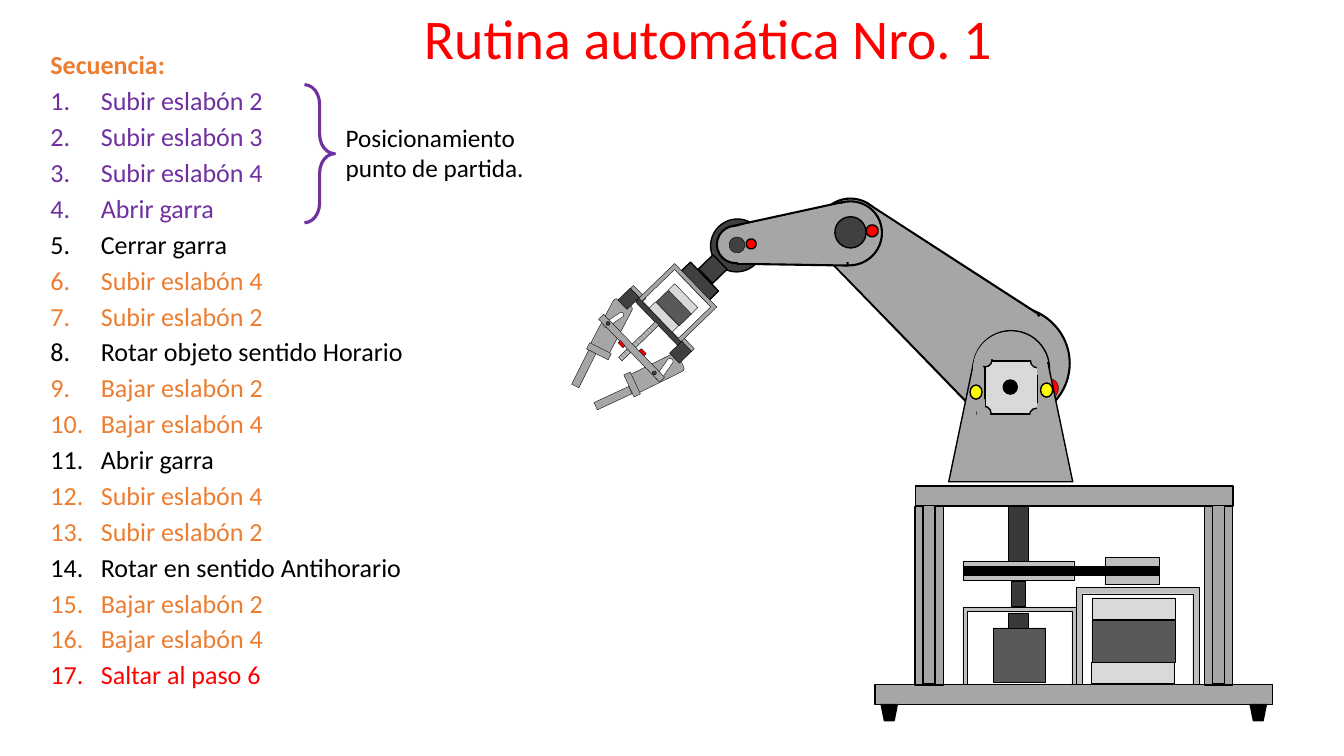
from typing import NamedTuple

from lxml.etree import SubElement
from pptx import Presentation
from pptx.dml.color import RGBColor
from pptx.enum.dml import MSO_PATTERN
from pptx.enum.shapes import MSO_SHAPE
from pptx.enum.text import MSO_ANCHOR, MSO_AUTO_SIZE, PP_ALIGN
from pptx.oxml.ns import qn
from pptx.util import Cm, Pt

FONT = "Calibri"
BLACK, WHITE, RED, YELLOW = "000000", "FFFFFF", "FF0000", "FFFF00"
ORANGE, PURPLE = "ED7D31", "7030A0"
GREY, SILVER, PALE = "A6A6A6", "BFBFBF", "D9D9D9"
DARK, MOTOR, SHAFT = "404040", "595959", "3B3838"

RECT, OVAL, ROUND = MSO_SHAPE.RECTANGLE, MSO_SHAPE.OVAL, MSO_SHAPE.ROUNDED_RECTANGLE
FRAME, TAPER = MSO_SHAPE.FRAME, MSO_SHAPE.FLOWCHART_MANUAL_OPERATION
TILT = 45.9  # angle of the gripper, degrees


class Part(NamedTuple):
    """One piece of the robot; lengths in inches, line weight in points."""
    kind: MSO_SHAPE
    x: float
    y: float
    w: float
    h: float
    fill: str = GREY
    weight: float = 0.25
    rot: float = 0
    adj: float | None = None
    edge: str = BLACK
    flip_v: bool = False
    hatched: bool = False


class Step(NamedTuple):
    text: str
    color: str


def inch(value: float) -> Cm:
    return Cm(value * 2.54)


def rgb(color: str) -> RGBColor:
    return RGBColor.from_string(color)


def place(sp, x: float, y: float, w: float, h: float) -> None:
    sp.left, sp.top, sp.width, sp.height = (inch(v) for v in (x, y, w, h))


def draw(shapes, part: Part) -> None:
    sp = shapes.add_shape(part.kind, *(inch(v) for v in part[1:5]))
    sp.shadow.inherit = False
    sp.rotation = part.rot
    if part.adj is not None:
        sp.adjustments[0] = part.adj
    if part.flip_v:
        sp._element.spPr.xfrm.set("flipV", "1")
    if part.hatched:
        sp.fill.patterned()
        sp.fill.pattern = MSO_PATTERN.WIDE_DOWNWARD_DIAGONAL
        sp.fill.fore_color.rgb = rgb(WHITE)
        sp.fill.back_color.rgb = rgb(part.fill)
    else:
        sp.fill.solid()
        sp.fill.fore_color.rgb = rgb(part.fill)
    if part.weight:
        sp.line.color.rgb = rgb(part.edge)
        sp.line.width = Pt(part.weight)
    else:
        sp.line.fill.background()


def draw_group(s, parts: list[Part]) -> None:
    group = s.shapes.add_group_shape()
    for part in parts:
        draw(group.shapes, part)


def add_run(p, text: str, size: float, color: str, bold: bool = False) -> None:
    r = p.add_run()
    r.text = text
    r.font.name, r.font.size, r.font.bold = FONT, Pt(size), bold
    r.font.color.rgb = rgb(color)


def tilted(x: float, y: float, w: float, h: float, fill: str = GREY,
           weight: float = 0.25, kind: MSO_SHAPE = RECT) -> Part:
    return Part(kind, x, y, w, h, fill, weight, TILT)


def cover(x: float, y: float, w: float, h: float, rot: float = 0) -> Part:
    return Part(RECT, x, y, w, h, GREY, 1, rot, edge=GREY)


def notch(x: float, y: float, rot: float = 0) -> Part:
    return Part(OVAL, x, y, 0.14, 0.14, GREY, 1, rot)


UPPER_ARM = [
    Part(OVAL, 9.45, 3.04, 1.16, 1.13, weight=1.5),
    Part(TAPER, 8.62, 1.94, 1.13, 1.98, weight=1.5, rot=129.4),
    Part(OVAL, 8.1, 1.97, 0.67, 0.67, weight=1.5),
    Part(TAPER, 8.66, 1.95, 1.07, 1.98, weight=1.5, rot=129.4, edge=GREY),
]
CLAWS = [
    Part(ROUND, 6.41, 3.43, 0.2, 0.54, rot=63.8),
    Part(ROUND, 6.56, 3.54, 0.06, 0.25, WHITE, rot=34.9, adj=0.405),
    Part(RECT, 6.15, 3.78, 0.24, 0.07, rot=65.1),
    Part(RECT, 6.04, 3.76, 0.08, 0.38, rot=65.1),
    Part(ROUND, 5.96, 2.97, 0.21, 0.54, rot=27.9),
    Part(ROUND, 6.06, 3.06, 0.05, 0.23, WHITE, rot=56.2, adj=0.405),
    Part(RECT, 5.82, 3.45, 0.24, 0.07, rot=26.6),
    Part(RECT, 5.75, 3.47, 0.08, 0.38, rot=26.6),
]
GRIPPER = [
    tilted(7.05, 2.17, 0.52, 0.53, DARK, 1, OVAL),
    tilted(6.97, 2.57, 0.2, 0.2, DARK, 1),
    tilted(6.73, 2.72, 0.4, 0.16, DARK, 1),
    tilted(6.24, 2.89, 0.18, 0.04),
    tilted(6.72, 3.39, 0.18, 0.04),
    Part(FRAME, 6.41, 2.75, 0.6, 0.53, rot=TILT, adj=0.079),
    tilted(6.23, 3.17, 0.6, 0.05, DARK),
    tilted(6.17, 2.88, 0.13, 0.17, DARK),
    tilted(6.68, 3.41, 0.14, 0.17, DARK),
    tilted(6.52, 2.97, 0.33, 0.17, MOTOR),
    tilted(6.61, 2.92, 0.33, 0.09, PALE),
    tilted(6.42, 3.1, 0.33, 0.09, PALE),
    Part(RECT, 6.31, 3.13, 0.05, 0.51, rot=TILT, hatched=True),
    tilted(6.34, 3.48, 0.07, 0.03, RED),
    Part(RECT, 6.23, 3.02, 0.07, 0.87, rot=315.9),
    tilted(6.01, 3.19, 0.04, 0.04, DARK, kind=OVAL),
    tilted(6.47, 3.68, 0.04, 0.04, DARK, kind=OVAL),
    tilted(6.13, 3.4, 0.07, 0.03, RED),
]
FOREARM = [
    Part(OVAL, 8.11, 2, 0.64, 0.63, weight=1.5, rot=314.8),
    Part(TAPER, 7.52, 1.83, 0.63, 1.09, weight=1.5, rot=84.3),
    Part(OVAL, 7.11, 2.24, 0.37, 0.37, weight=1.5, rot=314.8),
    Part(TAPER, 7.57, 1.82, 0.56, 1.1, weight=1.5, rot=83.6, edge=GREY),
    Part(OVAL, 8.28, 2.15, 0.31, 0.31, DARK, 1, 13.1),
    Part(OVAL, 7.23, 2.35, 0.16, 0.16, DARK, rot=13.1),
    Part(OVAL, 8.59, 2.23, 0.12, 0.12, RED, 1, 45.6),
    Part(OVAL, 7.4, 2.37, 0.1, 0.1, RED, 1, 45.6),
]
SHOULDER_LIGHT = Part(OVAL, 10.27, 3.77, 0.24, 0.2, RED, rot=309.9)
SHOULDER = [
    Part(ROUND, 9.65, 3.28, 0.76, 0.82, weight=1, adj=0.5),
    Part(TAPER, 9.41, 3.6, 1.23, 1.18, weight=1, flip_v=True),
    Part(ROUND, 9.65, 3.29, 0.74, 0.79, weight=0, adj=0.5),
    Part(RECT, 9.77, 3.58, 0.52, 0.53, PALE, 1),
    Part(OVAL, 9.95, 3.77, 0.14, 0.14, BLACK, 1),
    notch(10.22, 3.51), cover(10.18, 3.51, 0.17, 0.06), cover(10.24, 3.59, 0.18, 0.07, 90),
    notch(10.21, 4.05, 90), cover(10.23, 4.07, 0.2, 0.07, 90), cover(10.14, 4.12, 0.15, 0.07, 180),
    notch(9.69, 4.03, 180), cover(9.69, 4.12, 0.18, 0.05, 180), cover(9.65, 4.01, 0.16, 0.06, 270),
    notch(9.7, 3.5, 270), cover(9.63, 3.56, 0.18, 0.05, 270), cover(9.76, 3.5, 0.15, 0.06),
]
BASE = [
    Part(FRAME, 9.55, 6.02, 1.13, 0.86, SILVER, adj=0.055),
    Part(FRAME, 10.67, 5.83, 1.22, 1.1, SILVER, adj=0.055),
    Part(RECT, 9.08, 4.82, 3.15, 0.2, weight=1),
    Part(RECT, 8.68, 6.79, 3.94, 0.2, weight=1),
    *(Part(RECT, x, y, 1.77, h, weight=1, rot=90)
      for x in (8.33, 11.2) for y, h in ((5.77, 0.28), (5.84, 0.12))),
    *(Part(TAPER, x, 6.99, 0.16, 0.16, BLACK, 1) for x in (8.74, 12.4)),
    Part(RECT, 10.83, 6.15, 0.83, 0.42, MOTOR),
    Part(RECT, 10.83, 5.93, 0.83, 0.21, PALE),
    Part(RECT, 10.82, 6.57, 0.83, 0.21, PALE),
    Part(RECT, 9.85, 6.23, 0.52, 0.54, MOTOR),
    Part(RECT, 9.55, 5.57, 1.1, 0.19, SILVER),
    Part(RECT, 10.96, 5.53, 0.54, 0.27, SILVER),
    Part(RECT, 9.56, 5.62, 1.93, 0.09, BLACK, 1),
    Part(RECT, 10, 5.02, 0.2, 0.55, SHAFT),
    Part(RECT, 10, 6.08, 0.2, 0.15, SHAFT),
    Part(RECT, 10.03, 5.77, 0.14, 0.24, SHAFT),
]
LAMPS = [Part(OVAL, x, y, 0.14, 0.12, YELLOW, 1, 90) for x, y in ((9.61, 3.83), (10.31, 3.81))]

UP_2, UP_4 = Step("Subir eslabón 2", ORANGE), Step("Subir eslabón 4", ORANGE)
LOWER = [Step(f"Bajar eslabón {n}", ORANGE) for n in (2, 4)]
STEPS = [
    *(Step(f"Subir eslabón {n}", PURPLE) for n in (2, 3, 4)),
    Step("Abrir garra", PURPLE), Step("Cerrar garra", BLACK), UP_4, UP_2,
    Step("Rotar objeto sentido Horario", BLACK), *LOWER,
    Step("Abrir garra", BLACK), UP_4, UP_2,
    Step("Rotar en sentido Antihorario", BLACK), *LOWER,
    Step("Saltar al paso 6", RED),
]


def add_title(s) -> None:
    sp = s.shapes.title
    place(sp, 0.97, 0.07, 12.1, 0.69)
    tf = sp.text_frame
    tf.vertical_anchor, tf.auto_size = MSO_ANCHOR.BOTTOM, MSO_AUTO_SIZE.NONE
    p = tf.paragraphs[0]
    p.alignment, p.line_spacing = PP_ALIGN.CENTER, 0.9
    add_run(p, "Rutina automática Nro. 1", 40, RED)


def add_sequence(s) -> None:
    sp = s.placeholders[1]
    place(sp, 0.4, 0.52, 3.89, 6.89)
    tf = sp.text_frame
    tf.vertical_anchor, tf.auto_size = MSO_ANCHOR.TOP, MSO_AUTO_SIZE.NONE
    for i, step in enumerate([Step("Secuencia:", ORANGE), *STEPS]):
        p = tf.add_paragraph() if i else tf.paragraphs[0]
        p.alignment, p.line_spacing = PP_ALIGN.LEFT, 0.7
        p.space_before = Pt(10 if i else 0)
        if i:
            pPr = p._p.get_or_add_pPr()
            pPr.set("marL", str(inch(0.5)))
            pPr.set("indent", str(-inch(0.5)))
            SubElement(pPr, qn("a:buAutoNum"), type="arabicPeriod")
        add_run(p, step.text, 18.6, step.color, bold=not i)


def add_start_note(s) -> None:
    sp = s.shapes.add_shape(MSO_SHAPE.RIGHT_BRACE, *(inch(v) for v in (3.02, 0.84, 0.3, 1.37)))
    sp.shadow.inherit = False
    sp.adjustments[0], sp.adjustments[1] = 0.646, 0.5
    sp.fill.background()
    sp.line.color.rgb, sp.line.width = rgb(PURPLE), Pt(2.25)
    tf = s.shapes.add_textbox(*(inch(v) for v in (3.33, 1.16, 2.1, 0.71))).text_frame
    tf.word_wrap, tf.auto_size = True, MSO_AUTO_SIZE.SHAPE_TO_FIT_TEXT
    add_run(tf.paragraphs[0], "Posicionamiento punto de partida.", 18, BLACK)


def main() -> None:
    prs = Presentation()
    prs.slide_width, prs.slide_height = inch(13.33), inch(7.5)
    s = prs.slides.add_slide(prs.slide_layouts[0])
    add_title(s)
    add_sequence(s)
    # Robot, from back to front
    draw_group(s, UPPER_ARM + CLAWS + GRIPPER + FOREARM)
    draw(s.shapes, SHOULDER_LIGHT)
    draw_group(s, SHOULDER)
    draw_group(s, BASE)
    for lamp in LAMPS:
        draw(s.shapes, lamp)
    add_start_note(s)
    prs.save("out.pptx")


if __name__ == "__main__":
    main()
